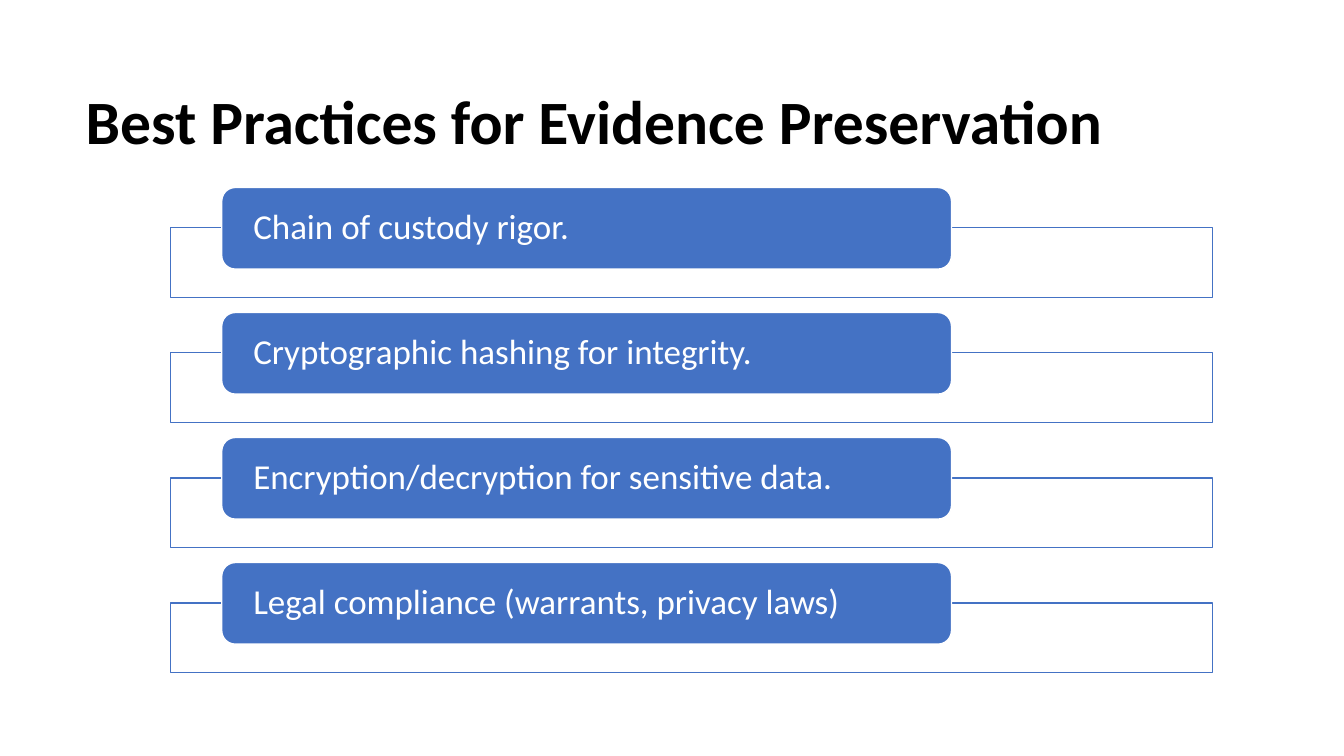
from dataclasses import dataclass

from lxml import etree
from pptx import Presentation
from pptx.dml.color import RGBColor
from pptx.enum import shapes, text
from pptx.oxml import ns
from pptx.util import Pt


@dataclass(frozen=True)
class Theme:
    font: str = "Calibri"
    title_size: float = 44
    label_size: float = 25
    line_width: float = 1
    line_spacing: float = 0.9
    black: RGBColor = RGBColor(0, 0, 0)
    white: RGBColor = RGBColor(255, 255, 255)
    blue: RGBColor = RGBColor(0x44, 0x72, 0xC4)


THEME = Theme()
PRACTICES = [
    "Chain of custody rigor.",
    "Cryptographic hashing for integrity.",
    "Encryption/decryption for sensitive data.",
    "Legal compliance (warrants, privacy laws)",
]
FIRST_TOP = 133.9
ROW_PITCH = 89.3
FRAME_DROP = 28.8


def write_text(box, content, *, size, color, bold=False, inset=7.2):
    frame = box.text_frame
    frame.word_wrap = True
    frame.auto_size = text.MSO_AUTO_SIZE.NONE
    frame.vertical_anchor = text.MSO_ANCHOR.MIDDLE
    frame.margin_left = frame.margin_right = Pt(inset)
    frame.margin_top = frame.margin_bottom = Pt(0)
    para = frame.paragraphs[0]
    para.alignment = text.PP_ALIGN.LEFT
    para.line_spacing = THEME.line_spacing
    span = para.add_run()
    span.text = content
    span.font.name = THEME.font
    span.font.size = Pt(size)
    span.font.bold = bold
    span.font.color.rgb = color


def add_box(page, kind, left, top, width, height, *, fill, line):
    box = page.shapes.add_shape(kind, Pt(left), Pt(top), Pt(width), Pt(height))
    box.shadow.inherit = False
    box.fill.solid()
    box.fill.fore_color.rgb = fill
    box.line.color.rgb = line
    box.line.width = Pt(THEME.line_width)
    return box


def set_opacity(box, percent):
    color = box.fill._xPr.find(ns.qn("a:solidFill"))[0]
    etree.SubElement(color, ns.qn("a:alpha"), val=str(percent * 1000))


def add_title(page, content):
    title = page.shapes.title
    title.left, title.top = Pt(54), Pt(36.7)
    title.width, title.height = Pt(869.8), Pt(104.4)
    write_text(title, content, size=THEME.title_size, color=THEME.black, bold=True)


def add_practice(page, content, top):
    frame = add_box(page, shapes.MSO_SHAPE.RECTANGLE, 121.7, top + FRAME_DROP,
                    744.5, 49.7, fill=THEME.white, line=THEME.blue)
    set_opacity(frame, 90)
    label = add_box(page, shapes.MSO_SHAPE.ROUNDED_RECTANGLE, 158.4, top,
                    521.3, 58.3, fill=THEME.blue, line=THEME.white)
    write_text(label, content, size=THEME.label_size, color=THEME.white, inset=19.7)


def main():
    deck = Presentation()
    deck.slide_width, deck.slide_height = Pt(960), Pt(540)
    page = deck.slides.add_slide(deck.slide_layouts.get_by_name("Title Only"))
    add_title(page, "Best Practices for Evidence Preservation")
    for row, practice in enumerate(PRACTICES):
        add_practice(page, practice, FIRST_TOP + row * ROW_PITCH)
    deck.save("out.pptx")


if __name__ == "__main__":
    main()
